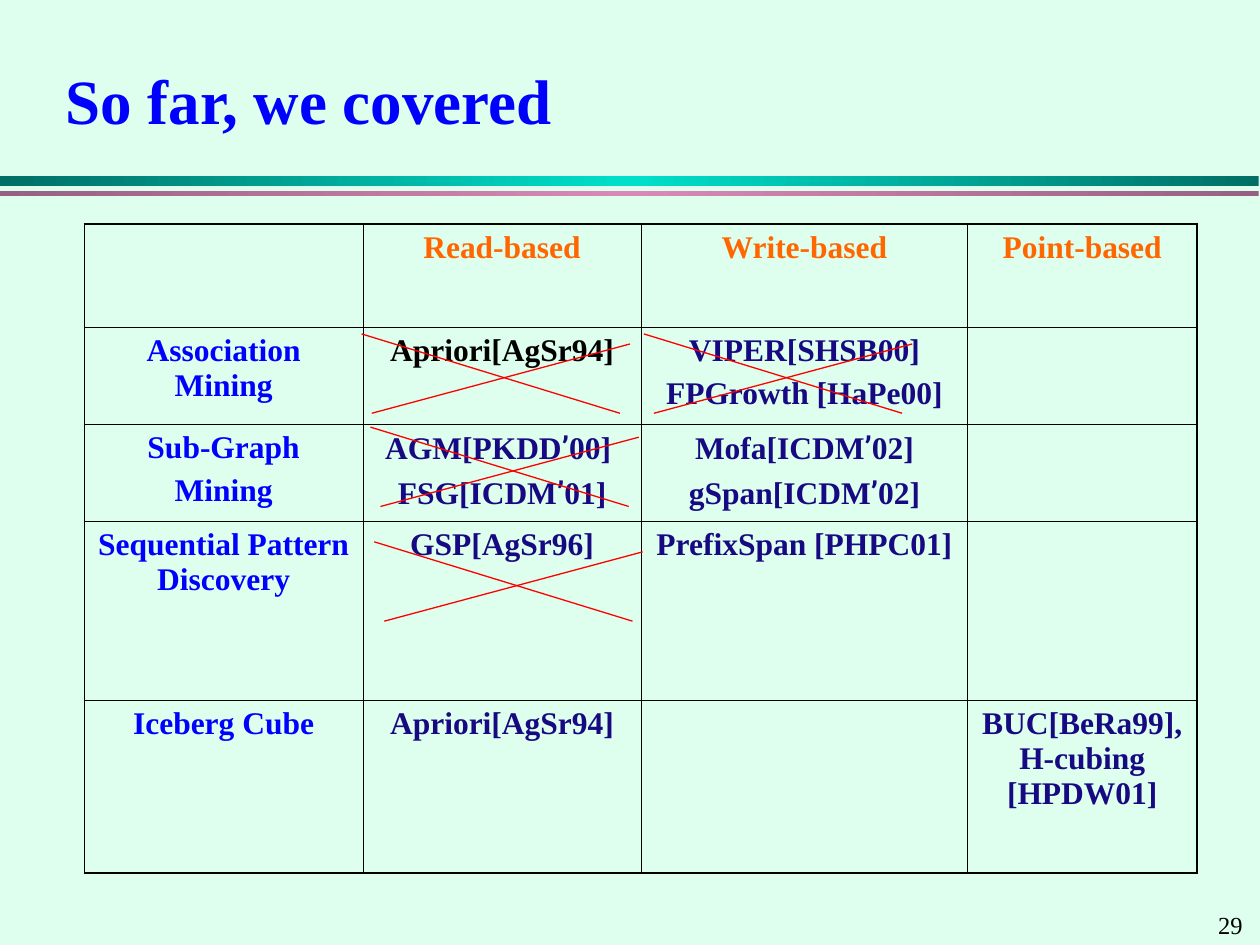
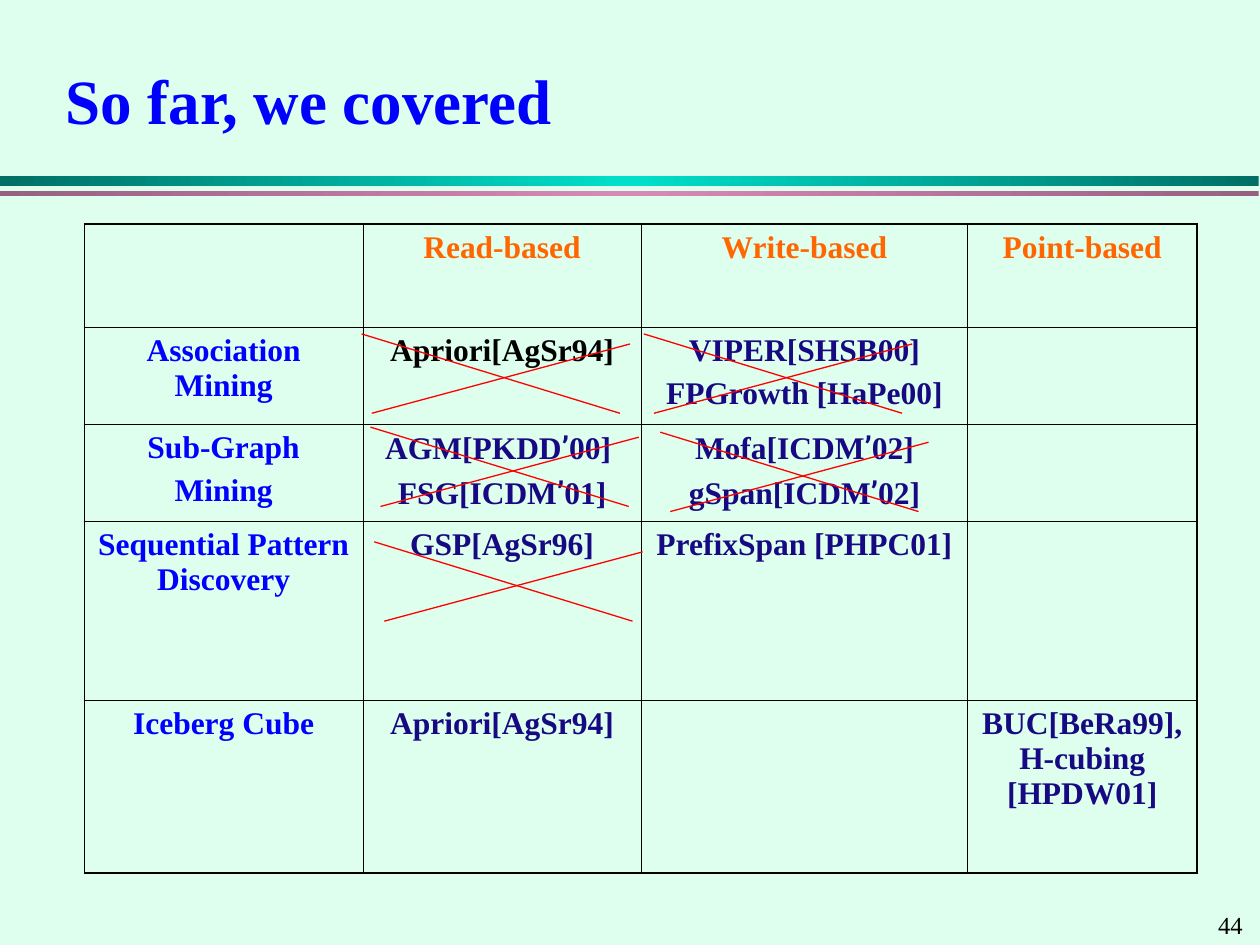
from copy import deepcopy
from dataclasses import dataclass
from itertools import groupby

from lxml.etree import SubElement
from pptx import Presentation
from pptx.dml.color import RGBColor
from pptx.enum.shapes import MSO_CONNECTOR, MSO_SHAPE
from pptx.enum.text import MSO_ANCHOR, PP_ALIGN
from pptx.oxml.ns import qn
from pptx.util import Emu, Pt

EMU_PER_PX = 9144  # 100 px to the inch
SLIDE_WIDTH, SLIDE_HEIGHT = 1000, 750
BLANK_LAYOUT = 6

FONT = "Times New Roman"
APOSTROPHE, APOSTROPHE_FONT = "’", "Roboto"
COLORS = {
    "background": "DEFEEE",
    "title": "0000FF",
    "heading": "FF6600",
    "task": "0000FF",
    "algorithm": "170981",
    "black": "000000",
    "cross": "FF0000",
    "teal_edge": "006F65",
    "teal_middle": "00DFCA",
    "mauve_edge": "976080",
    "mauve_middle": "D989B8",
}


@dataclass(frozen=True)
class Box:
    left: int
    top: int
    width: int
    height: int

    def emu(self) -> tuple[Emu, Emu, Emu, Emu]:
        return px(self.left), px(self.top), px(self.width), px(self.height)


@dataclass(frozen=True)
class Band:
    box: Box
    edge: str
    middle: str


@dataclass(frozen=True)
class TextStyle:
    size: int
    color: str
    bold: bool = False


@dataclass(frozen=True)
class Cross:
    left: int
    top: int


@dataclass(frozen=True)
class CoveredSlide:
    number: int
    crosses: tuple[Cross, ...]


# Shared slide parts
BANDS = (
    Band(Box(0, 140, 999, 8), "teal_edge", "teal_middle"),
    Band(Box(0, 152, 999, 4), "mauve_edge", "mauve_middle"),
)
TITLE = "So far, we covered"
TITLE_BOX = Box(42, 42, 917, 73)
NUMBER_BOX = Box(957, 717, 43, 34)

# Table of algorithms
TABLE_LEFT, TABLE_TOP = 67, 178
COLUMN_WIDTHS = (221, 221, 259, 182)
ROW_HEIGHTS = (82, 77, 77, 142, 137)
OUTER_BORDER, INNER_BORDER = 1.08, 0.45
ROWS = (
    ("", "Read-based", "Write-based", "Point-based"),
    ("Association Mining", "Apriori[AgSr94]", "VIPER[SHSB00]\nFPGrowth [HaPe00]", ""),
    ("Sub-Graph\nMining", "AGM[PKDD’00] \nFSG[ICDM’01]", "Mofa[ICDM’02]\ngSpan[ICDM’02]", ""),
    ("Sequential Pattern Discovery", "GSP[AgSr96]", "PrefixSpan [PHPC01]", ""),
    ("Iceberg Cube", "Apriori[AgSr94]", "", "BUC[BeRa99], H-cubing [HPDW01]"),
)
BLACK_CELL = (1, 1)

# Strokes of a cross, as start and end offsets from its corner
CROSS_STROKES = (((8, 63), (213, 8)), ((205, 63), (0, 0)))
COVERED = (Cross(287, 265), Cross(294, 339), Cross(511, 265), Cross(297, 430))
SLIDES = (
    CoveredSlide(29, COVERED),
    CoveredSlide(44, COVERED + (Cross(524, 343),)),
)


def px(length: int) -> Emu:
    return Emu(length * EMU_PER_PX)


def rgb(name: str) -> RGBColor:
    return RGBColor.from_string(COLORS[name])


def format_paragraph(paragraph, style: TextStyle) -> None:
    """Style the text, giving each apostrophe a run in its own font."""
    pieces = groupby(paragraph.text, key=lambda letter: letter == APOSTROPHE)
    runs = [("".join(letters), is_apostrophe) for is_apostrophe, letters in pieces]
    paragraph.clear()
    for text, is_apostrophe in runs:
        run = paragraph.add_run()
        run.text = text
        run.font.name = APOSTROPHE_FONT if is_apostrophe else FONT
        run.font.size = Pt(style.size)
        run.font.bold = style.bold
        run.font.color.rgb = rgb(style.color)


def add_text(slide, box: Box, text: str, style: TextStyle, anchor: MSO_ANCHOR) -> None:
    text_frame = slide.shapes.add_textbox(*box.emu()).text_frame
    text_frame.word_wrap = True
    text_frame.vertical_anchor = anchor
    text_frame.text = text
    format_paragraph(text_frame.paragraphs[0], style)


def add_band(slide, band: Band) -> None:
    shape = slide.shapes.add_shape(MSO_SHAPE.RECTANGLE, *band.box.emu())
    shape.shadow.inherit = False
    shape.line.fill.background()
    shape.fill.gradient()
    shape.fill.gradient_angle = 0
    stop_list = shape._element.spPr.find(f".//{qn('a:gsLst')}")
    stop_list.insert(1, deepcopy(stop_list[0]))
    colors = (band.edge, band.middle, band.edge)
    for stop, color, position in zip(shape.fill.gradient_stops, colors, (0, 0.5, 1)):
        stop.color.rgb = rgb(color)
        stop.position = position


def set_borders(cell, row: int, column: int) -> None:
    outer_sides = {
        "L": column == 0,
        "R": column == len(COLUMN_WIDTHS) - 1,
        "T": row == 0,
        "B": row == len(ROW_HEIGHTS) - 1,
    }
    properties = cell._tc.get_or_add_tcPr()
    for side, is_outer in outer_sides.items():
        width = Pt(OUTER_BORDER if is_outer else INNER_BORDER)
        line = SubElement(properties, qn(f"a:ln{side}"), w=str(width))
        fill = SubElement(line, qn("a:solidFill"))
        SubElement(fill, qn("a:srgbClr"), val=COLORS["black"])


def cell_color(row: int, column: int) -> str:
    if row == 0:
        return "heading"
    if column == 0:
        return "task"
    return "black" if (row, column) == BLACK_CELL else "algorithm"


def add_algorithm_table(slide) -> None:
    box = Box(TABLE_LEFT, TABLE_TOP, sum(COLUMN_WIDTHS), sum(ROW_HEIGHTS))
    table = slide.shapes.add_table(len(ROWS), len(COLUMN_WIDTHS), *box.emu()).table
    table.first_row = table.horz_banding = False
    for column, width in zip(table.columns, COLUMN_WIDTHS):
        column.width = px(width)
    for row, height in zip(table.rows, ROW_HEIGHTS):
        row.height = px(height)

    for row_index, texts in enumerate(ROWS):
        for column_index, text in enumerate(texts):
            cell = table.cell(row_index, column_index)
            set_borders(cell, row_index, column_index)
            cell.fill.background()
            cell.text_frame.text = text
            style = TextStyle(18, cell_color(row_index, column_index), bold=True)
            for paragraph in cell.text_frame.paragraphs:
                paragraph.alignment = PP_ALIGN.CENTER
                paragraph.space_before = Pt(4.5)
                format_paragraph(paragraph, style)


def add_cross(slide, cross: Cross) -> None:
    for stroke in CROSS_STROKES:
        ends = [px(length) for x, y in stroke for length in (cross.left + x, cross.top + y)]
        connector = slide.shapes.add_connector(MSO_CONNECTOR.STRAIGHT, *ends)
        connector.line.color.rgb = rgb("cross")
        connector.line.width = Pt(0.75)
        SubElement(connector._element.spPr, qn("a:effectLst"))


def add_covered_slide(presentation, content: CoveredSlide) -> None:
    slide = presentation.slides.add_slide(presentation.slide_layouts[BLANK_LAYOUT])
    slide.background.fill.solid()
    slide.background.fill.fore_color.rgb = rgb("background")
    for band in BANDS:
        add_band(slide, band)
    add_text(slide, NUMBER_BOX, str(content.number), TextStyle(14, "black"), MSO_ANCHOR.TOP)
    add_text(slide, TITLE_BOX, TITLE, TextStyle(36, "title", bold=True), MSO_ANCHOR.MIDDLE)
    add_algorithm_table(slide)
    for cross in content.crosses:
        add_cross(slide, cross)


def main() -> None:
    presentation = Presentation()
    presentation.slide_width = px(SLIDE_WIDTH)
    presentation.slide_height = px(SLIDE_HEIGHT)
    for content in SLIDES:
        add_covered_slide(presentation, content)
    presentation.save("out.pptx")


if __name__ == "__main__":
    main()
